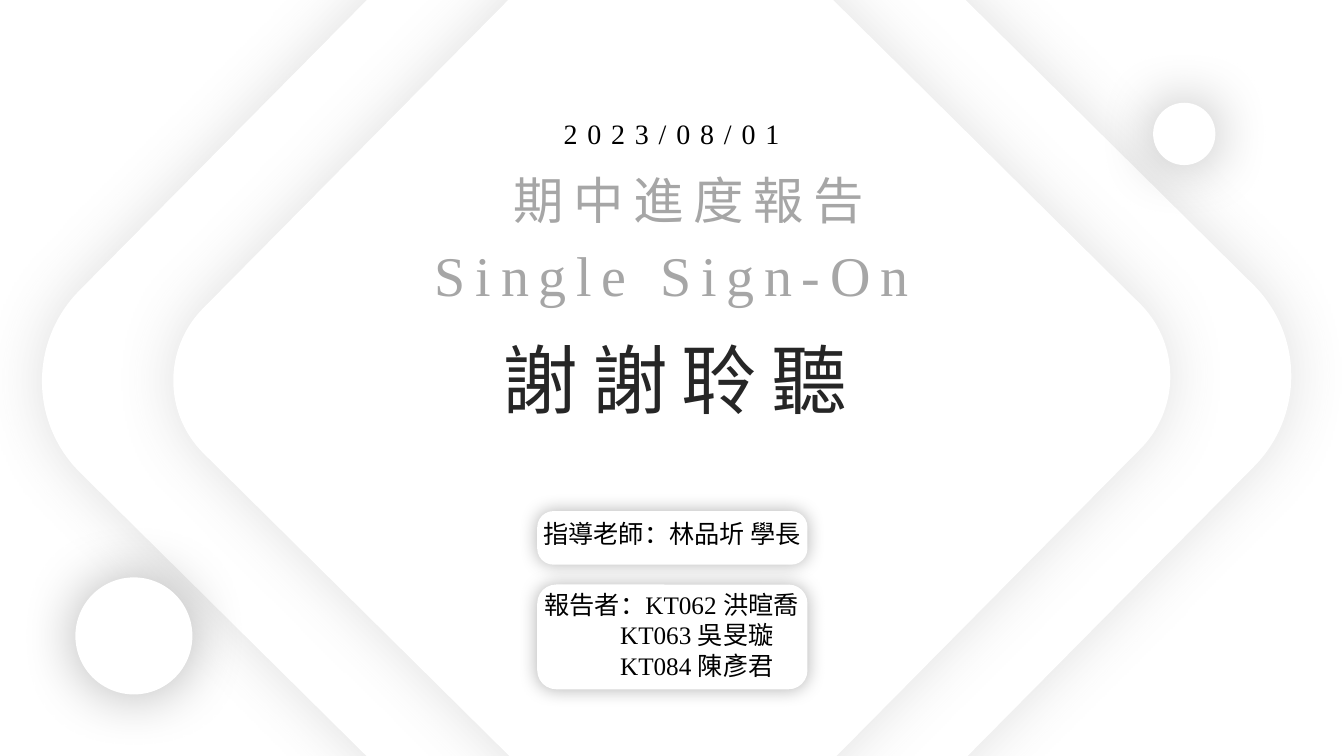
from lxml import etree
from pptx import Presentation
from pptx.dml.color import RGBColor
from pptx.enum import shapes, text
from pptx.oxml import ns
from pptx.util import Cm, Pt

WHITE = RGBColor(0xFF, 0xFF, 0xFF)
BLACK = RGBColor(0x00, 0x00, 0x00)
CHARCOAL = RGBColor(0x26, 0x26, 0x26)
SLATE = RGBColor(0x59, 0x59, 0x59)
GREY = RGBColor(0xA6, 0xA6, 0xA6)
SERIF, SANS = "Times New Roman", "Noto Sans CJK SC"
ROUND, OVAL = shapes.MSO_SHAPE.ROUNDED_RECTANGLE, shapes.MSO_SHAPE.OVAL

# All places are in centimetres.
DIAMONDS = [(16.8, 9.54, 24.16), (16.93, 9.54, 19.28)]  # centre x, centre y, side
DISCS = [(1.9, 14.55, 2.95), (29.06, 2.59, 1.57)]  # left, top, diameter
HEADINGS = [  # wording, place, format
    ("Single Sign-On", (0, 5.94, 33.87, 1.96), dict(size=40, color=GREY, spacing=7)),
    ("謝謝聆聽", (7.59, 8.26, 18.85, 2.57),
     dict(size=54, color=CHARCOAL, spacing=10, font=SANS)),
    ("2023/08/01", (13.13, 2.82, 7.59, 1.12), dict(size=20, spacing=7)),
    ("期中進度報告", (11.33, 4.14, 12.07, 1.8), dict(size=36, color=GREY, spacing=7)),
]
PRESENTERS = "報告者：KT062 洪暄喬\n\tKT063 吳旻璇\n\tKT084 陳彥君"
ADVISER = "指導老師：林品圻 學長"
CARD_LEFT, CARD_WIDTH = 13.54, 6.81


def add_soft_shape(parent, kind, place, shade=BLACK, alpha=30, blur=43,
                   corner=None, turn=0):
    """Add a white shape without outline, with a shadow all round it."""
    shape = parent.add_shape(kind, *map(Cm, place))
    shape.fill.solid()
    shape.fill.fore_color.rgb = WHITE
    shape.line.fill.background()
    shape.rotation = turn
    if corner is not None:
        shape.adjustments[0] = corner
    shape.shadow.inherit = False
    effects = shape._element.spPr.find(ns.qn("a:effectLst"))
    glow = etree.SubElement(effects, ns.qn("a:outerShdw"), blurRad=str(Pt(blur)),
                            dist="0", dir="0", algn="ctr", rotWithShape="0")
    tint = etree.SubElement(glow, ns.qn("a:srgbClr"), val=str(shade))
    etree.SubElement(tint, ns.qn("a:alpha"), val=str(alpha * 1000))


def add_text(parent, wording, place, size=18, color=BLACK, spacing=0, font=SERIF):
    box = parent.add_textbox(*map(Cm, place))
    frame = box.text_frame
    frame.word_wrap = True
    frame.auto_size = text.MSO_AUTO_SIZE.SHAPE_TO_FIT_TEXT
    for number, line in enumerate(wording.split("\n")):
        para = frame.add_paragraph() if number else frame.paragraphs[0]
        para.alignment = text.PP_ALIGN.CENTER
        span = para.add_run()
        span.text = line
        span.font.size = Pt(size)
        span.font.name = font
        span.font.color.rgb = color
        props = span.font._element
        if spacing:
            props.set("spc", str(spacing * 100))
        etree.SubElement(props, ns.qn("a:ea"), typeface=SANS)


def main():
    deck = Presentation()
    deck.slide_width, deck.slide_height = Cm(33.87), Cm(19.05)
    page = deck.slides.add_slide(deck.slide_layouts[6])
    parts = page.shapes

    for x, y, side in DIAMONDS:
        add_soft_shape(parts, ROUND, (x - side / 2, y - side / 2, side, side),
                       shade=SLATE, alpha=19, corner=0.134, turn=44.7)
    for left, top, diameter in DISCS:
        add_soft_shape(parts, OVAL, (left, top, diameter, diameter))
    for wording, place, look in HEADINGS:
        add_text(parts, wording, place, **look)

    add_soft_shape(parts, ROUND, (CARD_LEFT, 14.73, CARD_WIDTH, 2.64),
                   blur=13, corner=0.181)
    add_text(parts, PRESENTERS, (12.9, 14.73, 8.05, 2.57))

    adviser_card = parts.add_group_shape().shapes
    add_soft_shape(adviser_card, ROUND, (CARD_LEFT, 12.88, CARD_WIDTH, 1.35),
                   blur=13, corner=0.302)
    add_text(adviser_card, ADVISER, (13.36, 12.93, 7.16, 1.8))

    deck.save("out.pptx")


if __name__ == "__main__":
    main()
